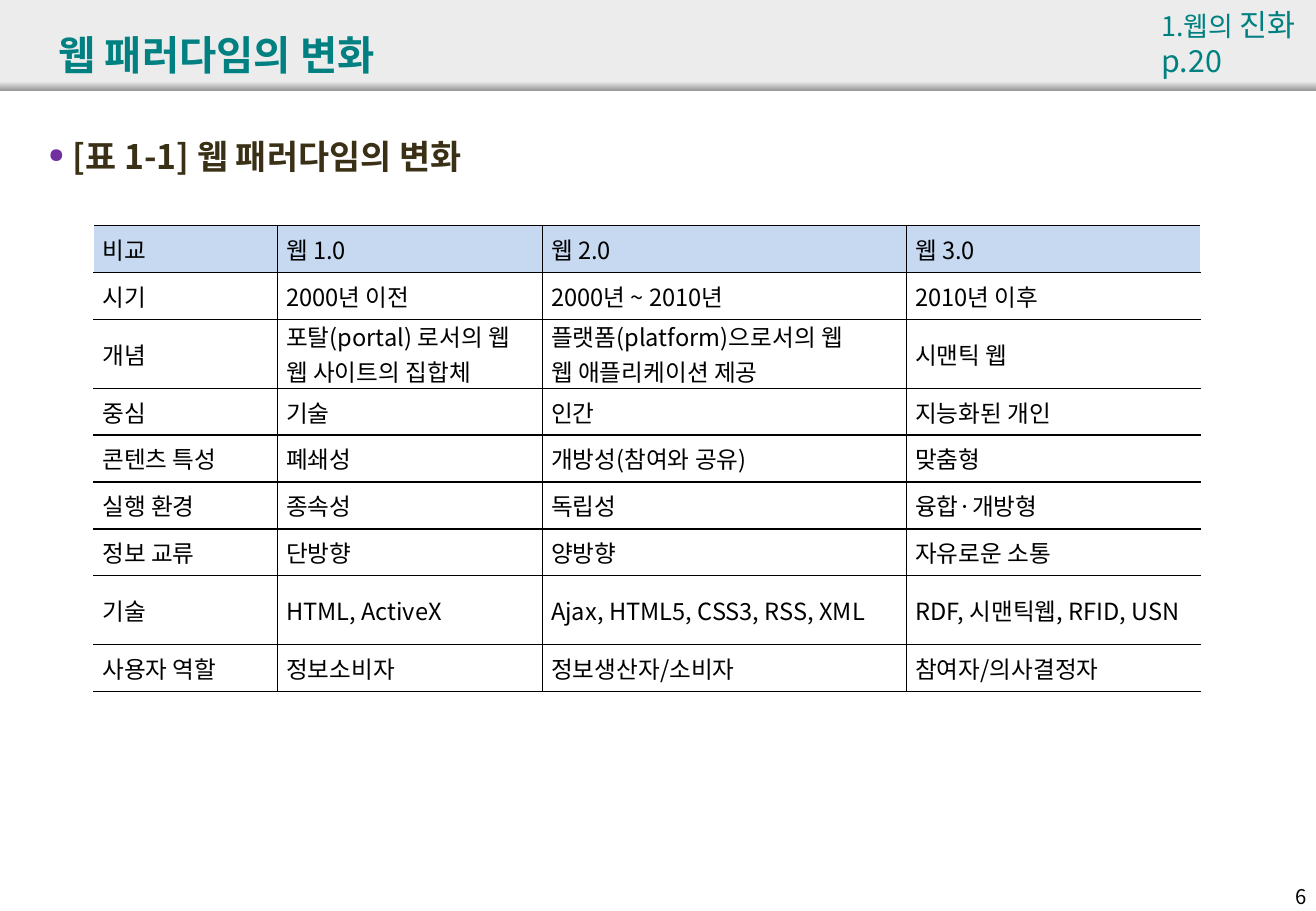
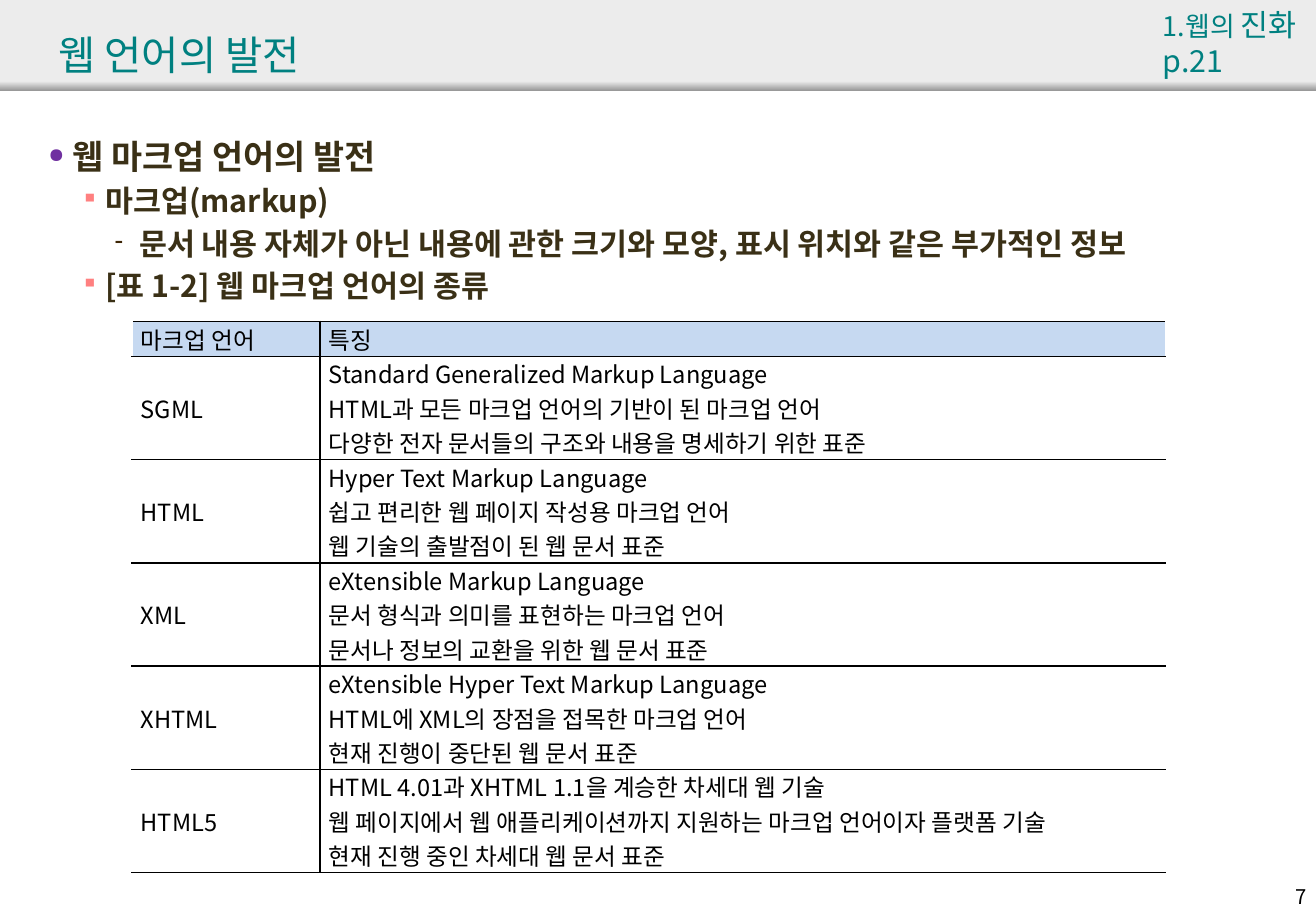
"""Build two lecture slides on web paradigms and markup languages."""
from lxml.etree import SubElement
from pptx import Presentation
from pptx.dml.color import RGBColor
from pptx.enum.shapes import MSO_SHAPE as SHAPE
from pptx.enum.text import MSO_ANCHOR as ANCHOR, PP_ALIGN as ALIGN
from pptx.oxml import parse_xml
from pptx.oxml.ns import nsdecls, qn
from pptx.util import Cm, Pt

rgb = RGBColor.from_string
FONT = "Noto Sans CJK KR"
TEAL, BROWN, BLACK = "008080", "3A3016", "000000"
BAND, BAND_EDGE, HEADER = "ECECEC", "979797", "C6D9F1"
WIDTH, HEIGHT = 27.51, 19.05

# size, left margin (cm), bullet, bullet colour, bullet size (%)
LEVELS = [
    (20, 0.51, "●", "7030A0", 60),
    (18, 1.19, "▪", "FF8080", 80),
    (18, 1.9, "-", "3D2505", 80),
]

SLIDES = [
    dict(
        number=6, title="웹 패러다임의 변화", bold=True, page="p.20", corner_left=24.03,
        body=[(0, "[표 1-1] 웹 패러다임의 변화")],
        left=1.96, top=4.72, cols=[3.84, 5.54, 7.61, 6.14],
        heights=[0.98, 0.98, 1.44, 0.98, 0.98, 0.98, 0.98, 1.44, 0.98],
        rows=[
            ["비교", "웹 1.0", "웹 2.0", "웹 3.0"],
            ["시기", "2000년 이전", "2000년 ~ 2010년", "2010년 이후"],
            ["개념", "포탈(portal) 로서의 웹\n웹 사이트의 집합체",
             "플랫폼(platform)으로서의 웹\n웹 애플리케이션 제공", "시맨틱 웹"],
            ["중심", "기술", "인간", "지능화된 개인"],
            ["콘텐츠 특성", "폐쇄성", "개방성(참여와 공유)", "맞춤형"],
            ["실행 환경", "종속성", "독립성", "융합·개방형"],
            ["정보 교류", "단방향", "양방향", "자유로운 소통"],
            ["기술", "HTML, ActiveX", "Ajax, HTML5, CSS3, RSS, XML",
             "RDF, 시맨틱웹, RFID, USN"],
            ["사용자 역할", "정보소비자", "정보생산자/소비자", "참여자/의사결정자"],
        ],
    ),
    dict(
        number=7, title="웹 언어의 발전", bold=False, page="p.21", corner_left=24.06,
        body=[
            (0, "웹 마크업 언어의 발전"),
            (1, "마크업(markup)"),
            (2, "문서 내용 자체가 아닌 내용에 관한 크기와 모양, 표시 위치와 같은 부가적인 정보"),
            (1, "[표 1-2] 웹 마크업 언어의 종류"),
        ],
        left=2.76, top=6.72, cols=[3.93, 17.67], heights=[0.73] + [2.16] * 5,
        rows=[
            ["마크업 언어", "특징"],
            ["SGML", "Standard Generalized Markup Language\n"
             "HTML과 모든 마크업 언어의 기반이 된 마크업 언어\n"
             "다양한 전자 문서들의 구조와 내용을 명세하기 위한 표준"],
            ["HTML", "Hyper Text Markup Language\n"
             "쉽고 편리한 웹 페이지 작성용 마크업 언어\n"
             "웹 기술의 출발점이 된 웹 문서 표준"],
            ["XML", "eXtensible Markup Language\n"
             "문서 형식과 의미를 표현하는 마크업 언어\n"
             "문서나 정보의 교환을 위한 웹 문서 표준"],
            ["XHTML", "eXtensible Hyper Text Markup Language\n"
             "HTML에 XML의 장점을 접목한 마크업 언어\n"
             "현재 진행이 중단된 웹 문서 표준"],
            ["HTML5", "HTML 4.01과 XHTML 1.1을 계승한 차세대 웹 기술\n"
             "웹 페이지에서 웹 애플리케이션까지 지원하는 마크업 언어이자 플랫폼 기술\n"
             "현재 진행 중인 차세대 웹 문서 표준"],
        ],
    ),
]


def add_run(p, text, size, color, bold=False):
    r = p.add_run()
    r.text = text
    r.font.size, r.font.bold, r.font.name = Pt(size), bold, FONT
    r.font.color.rgb = rgb(color)
    r.font._element.set("kern", "0")
    SubElement(r.font._element, qn("a:ea"), typeface=FONT)


def add_box(s, left, top, width, height, wrap=True):
    tf = s.shapes.add_textbox(Cm(left), Cm(top), Cm(width), Cm(height)).text_frame
    tf.word_wrap = wrap
    return tf


prs = Presentation()
prs.slide_width, prs.slide_height = Cm(WIDTH), Cm(HEIGHT)

for data in SLIDES:
    s = prs.slides.add_slide(prs.slide_layouts[6])

    for top, height in [(0, 1.9), (1.7, 0.2)]:
        band = s.shapes.add_shape(SHAPE.RECTANGLE, 0, Cm(top), Cm(WIDTH), Cm(height))
        band.shadow.inherit = False
        band.line.fill.background()
        if top == 0:
            band.fill.solid()
            band.fill.fore_color.rgb = rgb(BAND)
        else:
            band.fill.gradient()
            band.fill.gradient_angle = 270
            for stop, color in zip(band.fill.gradient_stops, [BAND, BAND_EDGE]):
                stop.color.rgb = rgb(color)

    p = add_box(s, 26.16, 18.36, 1.4, 0.76).paragraphs[0]
    p.alignment = ALIGN.RIGHT
    add_run(p, str(data["number"]), 12, BLACK)

    tf = add_box(s, 0.97, 0.33, 25.2, 1.6)
    tf.vertical_anchor = ANCHOR.MIDDLE
    add_run(tf.paragraphs[0], data["title"], 24, TEAL, data["bold"])

    tf = add_box(s, 0.76, 2.72, 26.21, 15.8)
    for i, (level, text) in enumerate(data["body"]):
        size, margin, bullet, color, percent = LEVELS[level]
        p = tf.paragraphs[0] if i == 0 else tf.add_paragraph()
        p.level = level
        p.space_before = Pt(size * 0.2)
        pPr = p._p.get_or_add_pPr()
        pPr.set("marL", str(Cm(margin)))
        pPr.set("indent", str(-Cm(0.51)))
        clr = SubElement(pPr, qn("a:buClr"))
        SubElement(clr, qn("a:srgbClr"), val=color)
        SubElement(pPr, qn("a:buSzPct"), val=str(percent * 1000))
        SubElement(pPr, qn("a:buChar"), char=bullet)
        add_run(p, text, size, BROWN, True)

    rows, cols = data["rows"], data["cols"]
    frame = s.shapes.add_table(len(rows), len(cols), Cm(data["left"]), Cm(data["top"]),
                               Cm(sum(cols)), Cm(sum(data["heights"])))
    table = frame.table
    table.first_row = table.horz_banding = False
    for column, width in zip(table.columns, cols):
        column.width = Cm(width)
    for i, (row, height) in enumerate(zip(rows, data["heights"])):
        table.rows[i].height = Cm(height)
        for j, text in enumerate(row):
            cell = table.cell(i, j)
            cell.vertical_anchor = ANCHOR.MIDDLE
            cell.margin_left = cell.margin_right = Cm(0.18)
            cell.margin_top = cell.margin_bottom = 0
            if i == 0:
                cell.fill.solid()
                cell.fill.fore_color.rgb = rgb(HEADER)
            else:
                cell.fill.background()
            sides = "L" * (j > 0) + "R" * (j < len(cols) - 1) + "TB"
            for k, side in enumerate(sides):
                cell._tc.get_or_add_tcPr().insert(k, parse_xml(
                    f'<a:ln{side} {nsdecls("a")} w="12700"><a:solidFill>'
                    f'<a:srgbClr val="{BLACK}"/></a:solidFill></a:ln{side}>'))
            for k, line in enumerate(text.split("\n")):
                tf = cell.text_frame
                p = tf.paragraphs[0] if k == 0 else tf.add_paragraph()
                p.alignment = ALIGN.JUSTIFY
                add_run(p, line, 14, BLACK)

    p = add_box(s, data["corner_left"], 0, 3.6, 1.02, wrap=False).paragraphs[0]
    add_run(p, "1.웹의 ", 16, TEAL)
    add_run(p, "진화", 18, TEAL)
    p.add_line_break()
    add_run(p, data["page"], 18, TEAL)

prs.save("out.pptx")
